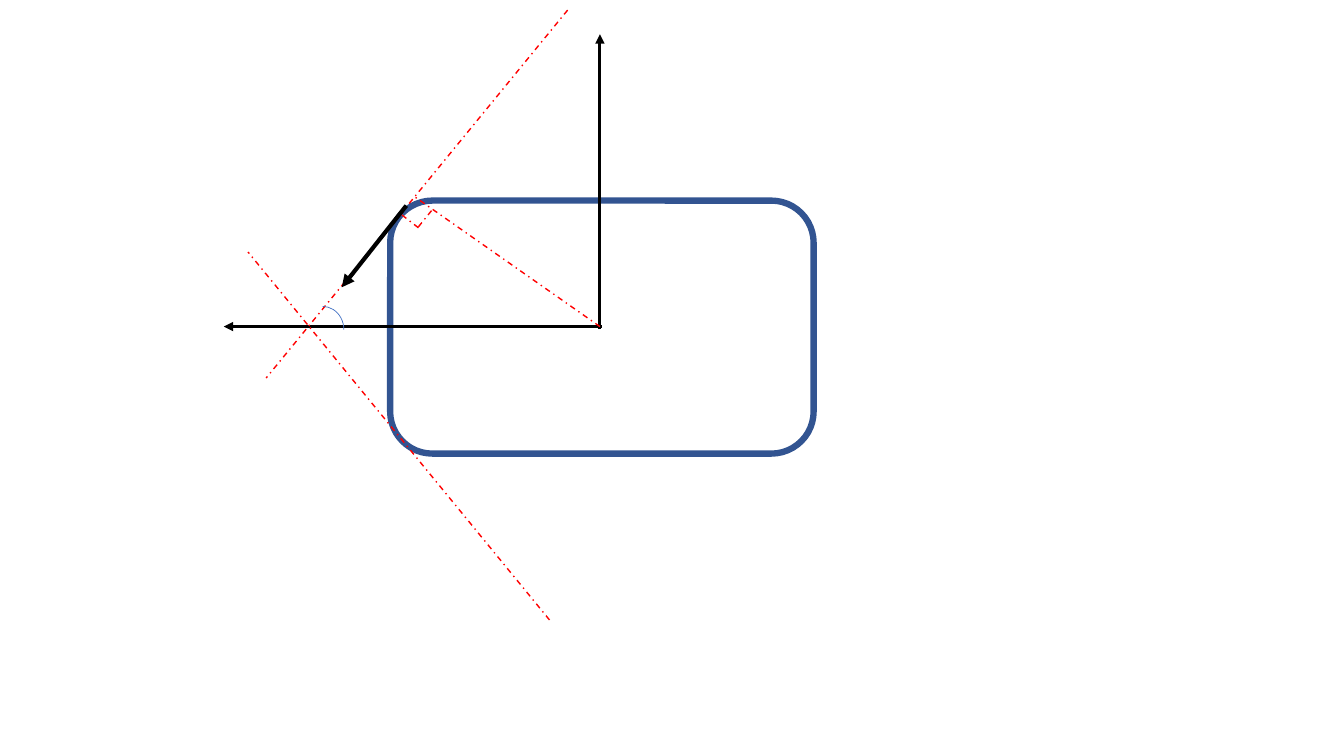
"""Build a slide showing a rounded body, its axes, tangents and angle marks."""
from dataclasses import dataclass

from lxml import etree
from pptx import Presentation
from pptx.dml.color import RGBColor
from pptx.enum.dml import MSO_LINE
from pptx.enum.shapes import MSO_CONNECTOR, MSO_SHAPE
from pptx.oxml.ns import qn
from pptx.util import Emu, Pt

STRAIGHT = MSO_CONNECTOR.STRAIGHT
ROUNDED = MSO_SHAPE.ROUNDED_RECTANGLE
ARC = MSO_SHAPE.ARC
DASH_DOT = MSO_LINE.DASH_DOT
BLANK_LAYOUT = 6
EMU_PER_PX = 9144


@dataclass(frozen=True)
class Theme:
    """Hold the colours and line widths."""
    body: str = "325491"
    angle: str = "4472C4"
    arrow: str = "000000"
    guide: str = "FF0000"
    body_width: float = 4.5
    angle_width: float = 0.5
    axis_width: float = 2.25
    force_width: float = 3
    guide_width: float = 1


def px(length):
    """Turn px into EMU."""
    return Emu(length * EMU_PER_PX)


class Sketch:
    """Draw styled elements on the current slide."""

    def __init__(self, page, theme):
        """Keep the slide and its style."""
        self.page = page
        self.theme = theme

    def stroke(self, line, color, width):
        """Set the colour and width of a line."""
        line.color.rgb = RGBColor.from_string(color)
        line.width = Pt(width)

    def outline(self, kind, bounds, color, width):
        """Add an unfilled preset shape."""
        shape = self.page.shapes.add_shape(kind, *map(px, bounds))
        shape.shadow.inherit = False
        shape.fill.background()
        self.stroke(shape.line, color, width)

    def connector(self, start, end, color, width):
        """Add a plain straight connector."""
        connector = self.page.shapes.add_connector(STRAIGHT, *map(px, start + end))
        self.stroke(connector.line, color, width)
        etree.SubElement(connector._element.spPr, qn("a:effectLst"))
        return connector

    def arrow(self, start, end, width):
        """Add a line with an arrowhead at its end."""
        connector = self.connector(start, end, self.theme.arrow, width)
        line = connector._element.spPr.find(qn("a:ln"))
        etree.SubElement(line, qn("a:tailEnd"), type="triangle")

    def guide(self, start, end):
        """Add a dash-dot construction line."""
        connector = self.connector(start, end, self.theme.guide, self.theme.guide_width)
        connector.line.dash_style = DASH_DOT


def main():
    """Build and save the deck."""
    deck = Presentation()
    deck.slide_width, deck.slide_height = px(1333), px(750)
    page = deck.slides.add_slide(deck.slide_layouts[BLANK_LAYOUT])
    theme = Theme()
    sketch = Sketch(page, theme)

    upper_tangent = ((563, 10), (264, 375))
    lower_tangent = ((545, 615), (246, 250))
    radius = ((595, 324), (411, 195))
    right_angle = (((428, 209), (415, 225)), ((415, 226), (397, 212)))

    sketch.outline(ROUNDED, (387, 199, 420, 251), theme.body, theme.body_width)
    sketch.arrow((595, 326), (595, 34), theme.axis_width)
    sketch.arrow((597, 324), (222, 324), theme.axis_width)
    sketch.guide(*upper_tangent)
    sketch.outline(ARC, (299, 304, 42, 46), theme.angle, theme.angle_width)
    sketch.arrow((403, 204), (339, 285), theme.force_width)
    for start, end in (lower_tangent, radius, *right_angle):
        sketch.guide(start, end)

    deck.save("out.pptx")


if __name__ == "__main__":
    main()
